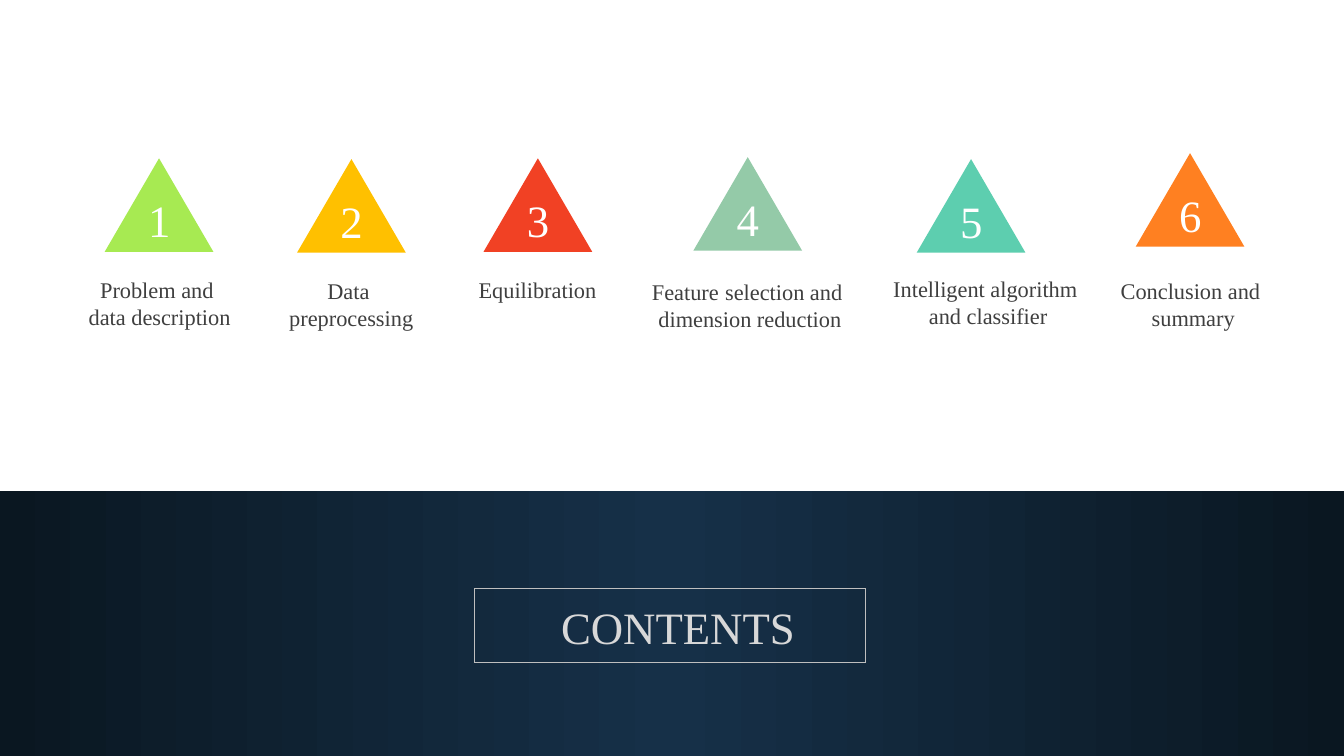
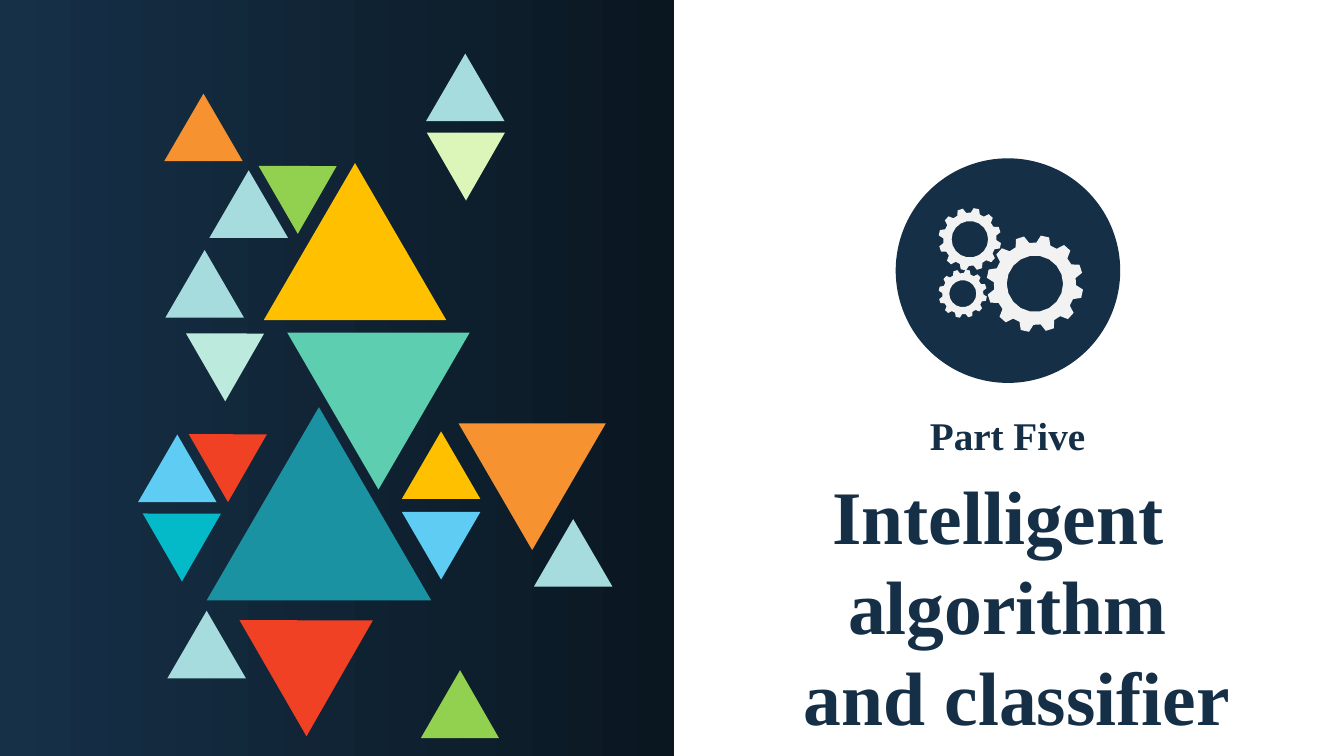
from itertools import pairwise
from math import cos, radians, sin

from lxml.etree import SubElement
from pptx import Presentation
from pptx.dml.color import RGBColor
from pptx.enum.shapes import MSO_CONNECTOR as Link, MSO_SHAPE as Preset
from pptx.enum.text import MSO_AUTO_SIZE as Fit, PP_ALIGN as Align
from pptx.oxml.ns import qn
from pptx.util import Cm, Pt

rgb = RGBColor.from_string
FONT = "Times New Roman"
NAVY, NIGHT, MIDNIGHT = "152F47", "163048", "0A1721"
WHITE, PALE, CHARCOAL = "FFFFFF", "F2F2F2", "3F3F3F"
AMBER, RED, MINT, AQUA = "FFC000", "F14124", "5DCEAF", "A7DCDE"
ORANGE, GREEN, SKY = "F69230", "92D050", "5ECCF3"
TRIANGLE_RATIO = 0.86


def paint(shape, color, fade_to=None, angle=0):
    shape.shadow.inherit = False
    shape.line.fill.background()
    if fade_to:
        shape.fill.gradient()
        shape.fill.gradient_angle = angle
        for stop, shade in zip(shape.fill.gradient_stops, (color, fade_to)):
            stop.color.rgb = rgb(shade)
    else:
        shape.fill.solid()
        shape.fill.fore_color.rgb = rgb(color)


def write(shapes, place, lines, color, bold=False):
    frame = shapes.add_textbox(*map(Cm, place)).text_frame
    frame.word_wrap = False
    frame.auto_size = Fit.SHAPE_TO_FIT_TEXT
    for number, line in enumerate(lines):
        paragraph = frame.add_paragraph() if number else frame.paragraphs[0]
        paragraph.alignment = Align.CENTER
        for words, size in line:
            run = paragraph.add_run()
            run.text = words
            run.font.name = FONT
            run.font.size = Pt(size)
            run.font.bold = bold
            run.font.color.rgb = rgb(color)


deck = Presentation()
deck.slide_width, deck.slide_height = Cm(33.88), Cm(19.05)
blank = deck.slide_layouts[6]

contents = deck.slides.add_slide(blank).shapes
for left, width, angle in [(0, 16.89, 180), (16.89, 16.99, 0)]:
    band = contents.add_shape(Preset.RECTANGLE, Cm(left), Cm(12.38), Cm(width), Cm(6.67))
    paint(band, NIGHT, MIDNIGHT, angle)

labels = [
    ((1.98, 6.83, 4.09, 1.63), [[("Problem and ", 16)], [("data description", 16)]]),
    ((7.04, 6.86, 3.63, 1.63), [[("Data ", 16)], [("preprocessing", 16)]]),
    ((11.81, 6.83, 3.48, 0.94), [[("Equilibration", 16)]]),
    ((16.18, 6.81, 5.31, 1.7),
     [[("Feature", 16), (" ", 18), ("selection and", 16)], [(" dimension reduction", 16)]]),
    ((22.25, 6.81, 5.18, 1.63), [[("Intelligent algorithm", 16)], [(" and classifier", 16)]]),
    ((27.8, 6.86, 4.42, 1.63), [[("Conclusion and", 16)], [(" summary", 16)]]),
]
for place, lines in labels:
    write(contents, place, lines, CHARCOAL)

write(contents, (12.34, 14.85, 9.19, 1.78), [[(" ", 36), ("CONTENTS", 32)]], "D8D8D8")
corners = [(11.96, 14.83), (21.82, 14.83), (21.82, 16.69), (11.96, 16.69), (11.96, 14.83)]
for start, end in pairwise(corners):
    edge = contents.add_connector(Link.STRAIGHT, *map(Cm, start + end))
    edge.line.color.rgb = rgb("BFBFBF")
    edge.line.width = Pt(1)
    SubElement(edge._element.spPr, qn("a:effectLst"))

markers = [
    (2.64, 3.99, "A7EA52"), (7.49, 4.01, AMBER), (12.19, 3.99, RED),
    (17.48, 3.96, "94CAA8"), (23.11, 4.01, MINT), (28.63, 3.86, "FF8021"),
]
for number, (left, top, color) in enumerate(markers, 1):
    marker = contents.add_group_shape().shapes
    triangle = marker.add_shape(
        Preset.ISOSCELES_TRIANGLE, Cm(left), Cm(top), Cm(2.74), Cm(2.74 * TRIANGLE_RATIO))
    paint(triangle, color)
    write(marker, (left + 0.84, top + 0.74, 1.07, 1.63), [[(str(number), 32)]], WHITE)

section = deck.slides.add_slide(blank).shapes
panel = section.add_shape(Preset.RECTANGLE, 0, 0, Cm(16.99), Cm(19.05))
paint(panel, NIGHT, MIDNIGHT)

title = [[("Intelligent ", 54)], [("algorithm", 54)], [(" and classifier", 54)]]
write(section, (19.2, 11.68, 12.4, 7.11), title, NAVY, True)
write(section, (23.19, 10.24, 4.42, 1.45), [[("Part Five", 28)]], NAVY, True)

emblem = section.add_group_shape().shapes
disc = emblem.add_shape(Preset.OVAL, Cm(22.58), Cm(3.99), Cm(5.66), Cm(5.66))
paint(disc, NAVY)
tooth = [(-10, 0.85), (-5, 1), (5, 1), (10, 0.85)]
for x, y, radius, hole in [
    (26.09, 7.15, 1.22, 0.71), (24.45, 6.03, 0.79, 0.46), (24.27, 7.4, 0.61, 0.34),
]:
    rim = [(radians(middle + offset), radius * reach)
           for middle in range(12, 372, 30) for offset, reach in tooth]
    bore = [(radians(-turn), hole) for turn in range(0, 360, 20)]
    rim, bore = [[(Cm(x + reach * cos(turn)), Cm(y + reach * sin(turn))) for turn, reach in ring]
                 for ring in (rim, bore)]
    outline = emblem.build_freeform(*rim[0])
    outline.add_line_segments(rim[1:], close=True)
    outline.move_to(*bore[0])
    outline.add_line_segments(bore[1:], close=True)
    paint(outline.convert_to_shape(), PALE)

mosaic = [
    (4.17, 6.3, 1.98, 0, AQUA),
    (10.74, 1.35, 1.98, 0, AQUA),
    (4.93, 7.98, 1.98, 60, "BCEBDE"),
    (7.24, 8.38, 4.6, 180, MINT),
    (5.21, 10.26, 5.66, 0, "1A92A2"),
    (4.22, 15.39, 1.98, 0, AQUA),
    (3.48, 10.95, 1.98, 0, SKY),
    (4.14, 2.36, 1.98, 0, ORANGE),
    (5.28, 4.29, 1.98, 0, AQUA),
    (6.76, 3.76, 1.98, 60, GREEN),
    (11, 2.92, 1.98, 60, "DBF6B8"),
    (3.84, 12.52, 1.98, 60, "05BAC8"),
    (11.56, 10.67, 3.71, 180, ORANGE),
    (10.13, 10.87, 1.98, 0, AMBER),
    (10.13, 12.9, 1.98, 180, SKY),
    (5, 10.52, 1.98, 60, RED),
    (6.45, 14.91, 3.38, 60, RED),
    (13.46, 13.08, 1.98, 0, AQUA),
    (6.65, 4.11, 4.6, 0, AMBER),
    (10.85, 17.32, 1.98, 120, GREEN),
]
for left, top, side, rotation, color in mosaic:
    tile = section.add_shape(
        Preset.ISOSCELES_TRIANGLE, Cm(left), Cm(top), Cm(side), Cm(side * TRIANGLE_RATIO))
    tile.rotation = rotation
    paint(tile, color)

deck.save("out.pptx")
